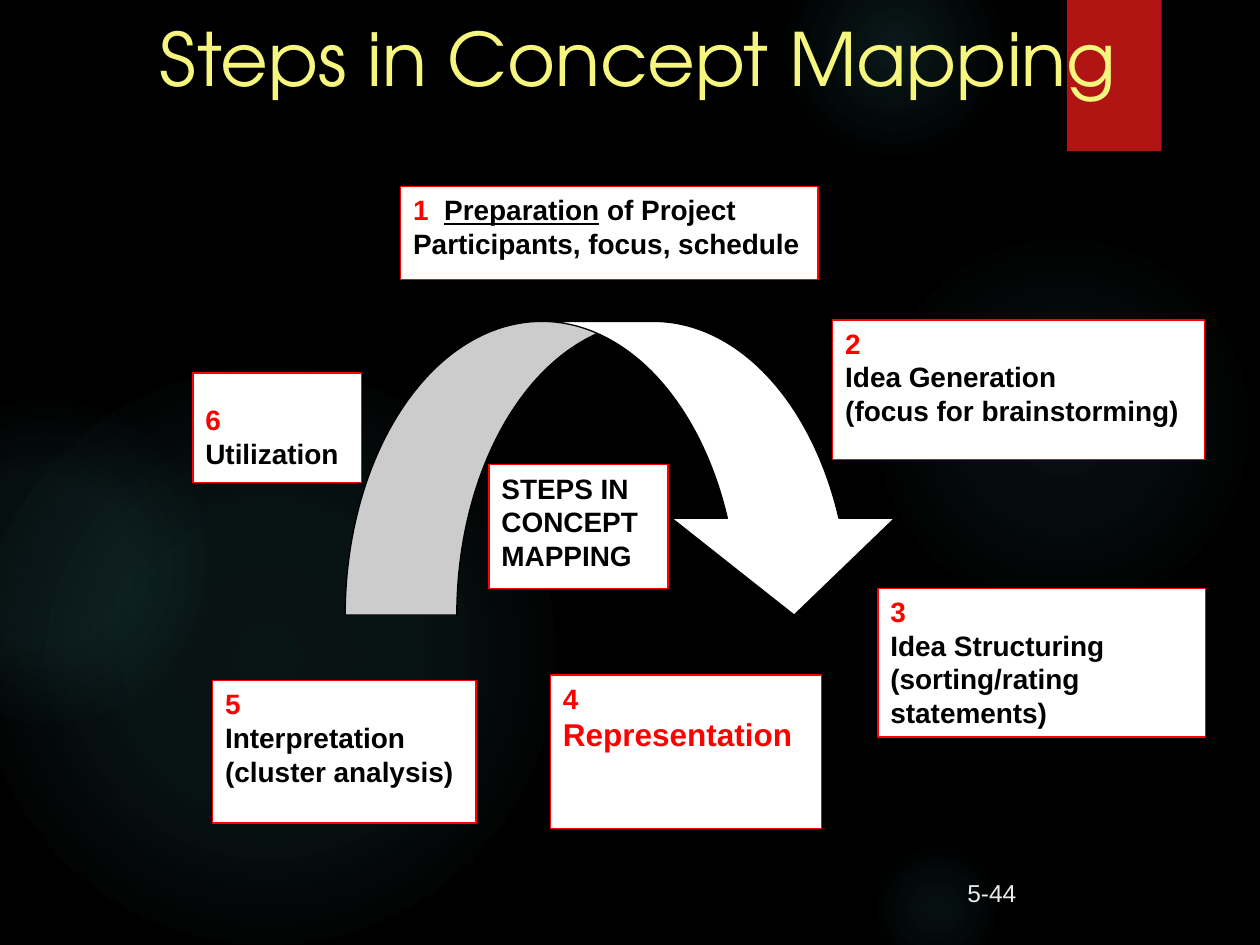
from dataclasses import dataclass

from pptx import Presentation
from pptx.dml.color import RGBColor
from pptx.enum.shapes import MSO_SHAPE
from pptx.enum.text import MSO_ANCHOR, PP_ALIGN
from pptx.oxml import parse_xml
from pptx.oxml.ns import nsdecls, qn
from pptx.util import Cm, Pt


@dataclass(frozen=True)
class Theme:
    background: str = "000000"
    ink: str = "000000"
    paper: str = "FFFFFF"
    accent: str = "FF0000"
    ribbon: str = "B01513"
    glow: str = "50B9C1"
    title: str = "F6F67E"
    page: str = "EBEBEB"
    title_font: str = "TeX Gyre Adventor"
    body_font: str = "Arial"
    title_size: int = 42
    emphasis_size: int = 18
    step_size: int = 16
    page_size: int = 14
    outline: float = 0.75


# Glows: (left, top, diameter), then (position, opacity) stops in percent
GLOWS = [
    ((17.5, 4.65, 7.82), ((0, 7), (36, 6), (69, 0))),
    ((15.8, -1.27, 4.45), ((0, 14), (36, 7), (73, 0))),
    ((17.5, 16.94, 2.74), ((0, 9), (36, 5), (66, 0))),
    ((-0.43, 7.42, 11.63), ((0, 11), (36, 10), (75, 0))),
    ((-2.34, 8.05, 6.55), ((0, 8), (36, 8), (72, 0))),
]

# Steps with the number on its own line: (box, number, lines)
STEPS = [
    ((16.79, 6.45, 7.49, 2.82), "2", ["Idea Generation", "(focus for brainstorming)"]),
    ((17.7, 11.86, 6.6, 3), "3", ["Idea Structuring", "(sorting/rating statements)"]),
    ((4.29, 13.72, 5.31, 2.87), "5", ["Interpretation", "(cluster analysis)"]),
]


def color(value):
    return RGBColor.from_string(value)


class SlideBuilder:
    def __init__(self, slide, theme):
        self.slide = slide
        self.theme = theme

    def style(self, font, size, tint, face=None, bold=False):
        font.name = face or self.theme.body_font
        font.size = Pt(size)
        font.bold = bold
        font.color.rgb = color(tint)

    def backdrop(self):
        fill = self.slide.background.fill
        fill.solid()
        fill.fore_color.rgb = color(self.theme.background)

    def shape(self, kind, box, fill, line=None):
        shape = self.slide.shapes.add_shape(kind, *map(Cm, box))
        shape.shadow.inherit = False
        shape.fill.solid()
        shape.fill.fore_color.rgb = color(fill)
        if line:
            shape.line.color.rgb = color(line)
            shape.line.width = Pt(self.theme.outline)
        else:
            shape.line.fill.background()
        return shape

    def glow(self, place, stops):
        """Draw a circle that fades from its centre to transparent."""
        left, top, diameter = place
        circle = self.shape(MSO_SHAPE.OVAL, (left, top, diameter, diameter), self.theme.glow)
        stop_xml = "".join(
            f'<a:gs pos="{position * 1000}"><a:srgbClr val="{self.theme.glow}">'
            f'<a:alpha val="{opacity * 1000}"/></a:srgbClr></a:gs>'
            for position, opacity in stops
        )
        gradient = parse_xml(
            f'<a:gradFill {nsdecls("a")}><a:gsLst>{stop_xml}</a:gsLst><a:path path="circle">'
            '<a:fillToRect l="50000" t="50000" r="50000" b="50000"/></a:path></a:gradFill>'
        )
        properties = circle.element.spPr
        properties.replace(properties.find(qn("a:solidFill")), gradient)

    def title(self, text, box):
        title = self.slide.shapes.title
        title.left, title.top, title.width, title.height = map(Cm, box)
        title.text_frame.text = text
        title.text_frame.vertical_anchor = MSO_ANCHOR.TOP
        paragraph = title.text_frame.paragraphs[0]
        paragraph.alignment = PP_ALIGN.LEFT
        self.style(paragraph.font, self.theme.title_size, self.theme.title, self.theme.title_font)

    def page_number(self, text, box):
        frame = self.slide.shapes.add_textbox(*map(Cm, box)).text_frame
        frame.word_wrap = True
        frame.text = text
        self.style(frame.paragraphs[0].font, self.theme.page_size, self.theme.page)

    def step(self, box, lines, number=None, top_margin=0.13):
        """Draw a framed box; return its paragraphs, the number's first."""
        frame = self.shape(MSO_SHAPE.RECTANGLE, box, self.theme.paper, self.theme.accent).text_frame
        frame.word_wrap = True
        frame.vertical_anchor = MSO_ANCHOR.TOP
        frame.margin_top = Cm(top_margin)
        frame.text = "\n".join(([number] if number else []) + lines)
        for index, paragraph in enumerate(frame.paragraphs):
            paragraph.alignment = PP_ALIGN.LEFT
            tint = self.theme.accent if number and index == 0 else self.theme.ink
            self.style(paragraph.font, self.theme.step_size, tint, bold=True)
        return frame.paragraphs

    def cycle_arrow(self, box):
        arrow = self.shape(MSO_SHAPE.CURVED_DOWN_ARROW, box, self.theme.paper, self.theme.ink)
        for index, value in enumerate((0.38, 0.76, 0.33)):
            arrow.adjustments[index] = value


def main():
    theme = Theme()
    presentation = Presentation()
    presentation.slide_width, presentation.slide_height = Cm(25.4), Cm(19.05)
    slide = presentation.slides.add_slide(presentation.slide_layouts[5])
    builder = SlideBuilder(slide, theme)

    builder.backdrop()
    for place, stops in GLOWS:
        builder.glow(place, stops)
    builder.shape(MSO_SHAPE.RECTANGLE, (21.51, 0, 1.91, 3.05), theme.ribbon)
    builder.page_number("5-44", (19.25, 17.58, 5.28, 1.27))

    builder.title("Steps in Concept Mapping", (2.97, 0.13, 21.59, 3.18))
    # The title is drawn over the ribbon
    slide.shapes.element.append(slide.shapes.title.element)

    builder.cycle_arrow((6.96, 6.48, 11.3, 5.92))
    builder.step((9.86, 9.37, 3.61, 2.49), ["STEPS IN", "CONCEPT", "MAPPING"])

    preparation = builder.step((8.08, 3.76, 8.41, 1.88), ["Participants, focus, schedule"], "1  ")[0]
    for text, underlined in (("Preparation", True), (" of Project", False)):
        run = preparation.add_run()
        run.text = text
        run.font.underline = underlined
        run.font.color.rgb = color(theme.ink)

    for box, number, lines in STEPS:
        builder.step(box, lines, number)

    representation = builder.step((11.1, 13.61, 5.46, 3.1), ["Representation"], "4")[1]
    builder.style(representation.font, theme.emphasis_size, theme.accent, bold=True)
    builder.step((3.89, 7.52, 3.4, 2.21), ["Utilization"], "6", top_margin=0.6)

    presentation.save("out.pptx")


if __name__ == "__main__":
    main()
